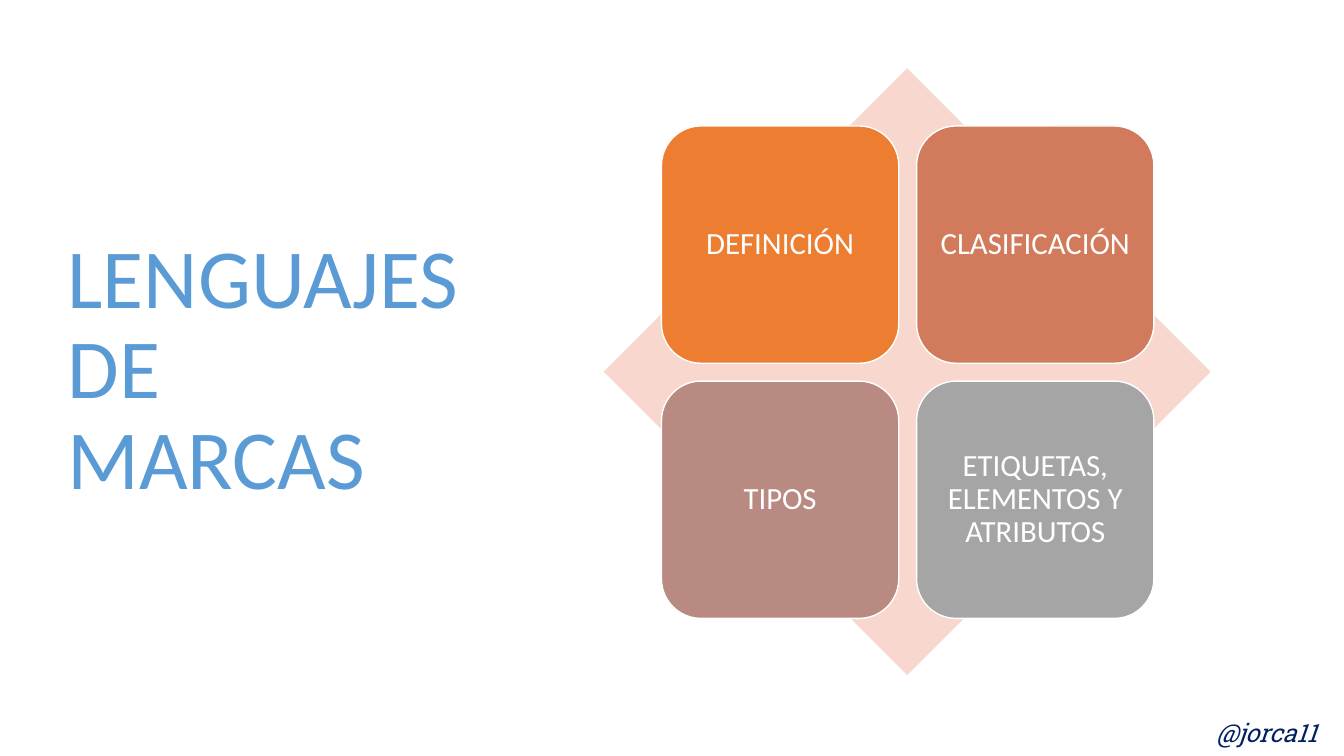
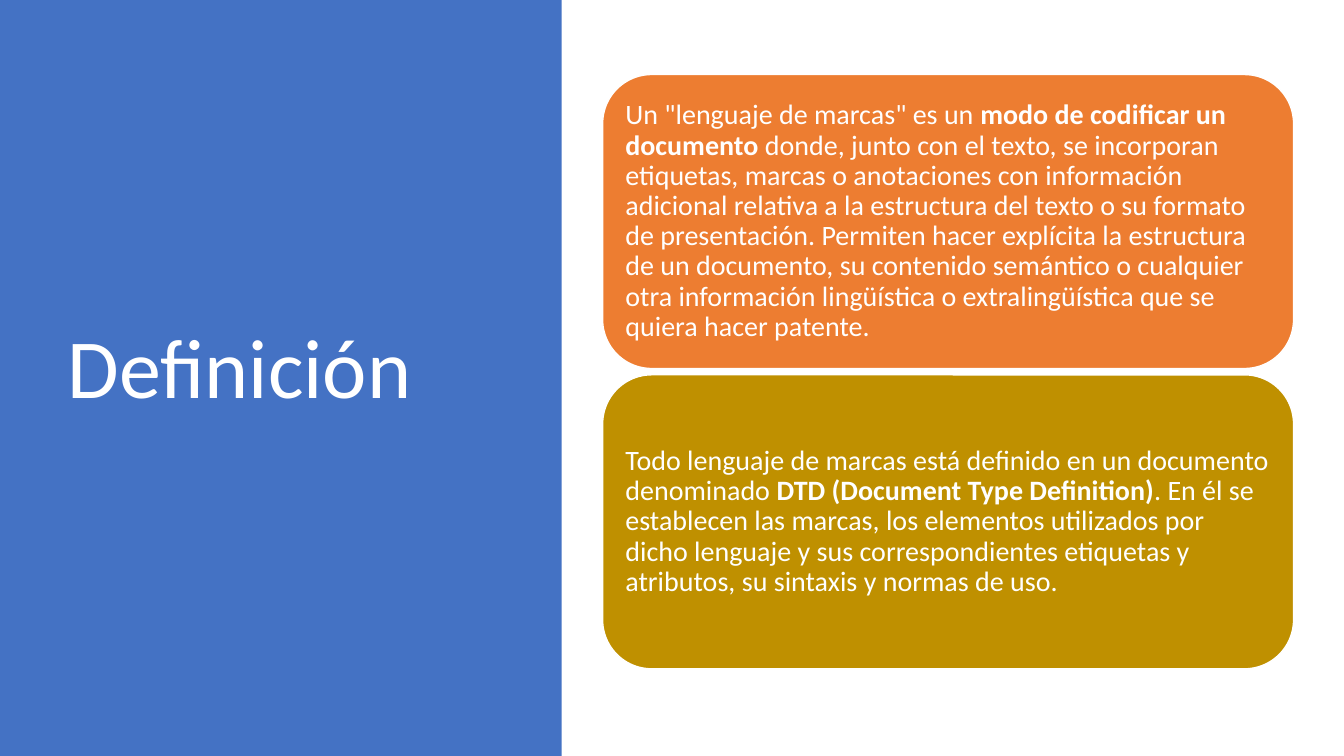
from pptx import Presentation
from pptx.dml.color import RGBColor
from pptx.enum.shapes import MSO_SHAPE
from pptx.enum.text import MSO_ANCHOR, PP_ALIGN
from pptx.util import Pt

PX = 9525  # EMU per pixel, 96 px to the inch
SLIDE_W, SLIDE_H = 1280, 720
TITLE_BOX = (55, 65, 399, 578)

WHITE = RGBColor(0xFF, 0xFF, 0xFF)
SKY = RGBColor(0x5B, 0x9B, 0xD5)
BLUE = RGBColor(0x44, 0x72, 0xC4)
NAVY = RGBColor(0x00, 0x20, 0x60)
PEACH = RGBColor(0xF8, 0xD7, 0xCE)
ORANGE = RGBColor(0xED, 0x7D, 0x31)
TERRACOTTA = RGBColor(0xD1, 0x7B, 0x5C)
MAUVE = RGBColor(0xB9, 0x8A, 0x82)
GRAY = RGBColor(0xA5, 0xA5, 0xA5)
GOLD = RGBColor(0xBF, 0x90, 0x00)

RECT, ROUNDED, DIAMOND = MSO_SHAPE.RECTANGLE, MSO_SHAPE.ROUNDED_RECTANGLE, MSO_SHAPE.DIAMOND
LEFT, CENTER = PP_ALIGN.LEFT, PP_ALIGN.CENTER
TOP, MIDDLE = MSO_ANCHOR.TOP, MSO_ANCHOR.MIDDLE


def add_panel(slide, kind, box, fill, line=None):
    """Add a flat filled shape; box is left, top, width, height in px."""
    panel = slide.shapes.add_shape(kind, *(v * PX for v in box))
    panel.shadow.inherit = False
    panel.fill.solid()
    panel.fill.fore_color.rgb = fill
    if line is None:
        panel.line.fill.background()
    else:
        panel.line.color.rgb = line
        panel.line.width = Pt(1)
    return panel


def write(holder, *runs, size, color=WHITE, font="Calibri", italic=False,
          align=LEFT, anchor=MIDDLE, spacing=0.9, inset=None):
    """Fill a shape with one paragraph; every second run is bold."""
    frame = holder.text_frame
    frame.word_wrap = True
    frame.vertical_anchor = anchor
    if inset is not None:
        frame.margin_left = frame.margin_right = inset * PX
        frame.margin_top = frame.margin_bottom = inset * PX
    paragraph = frame.paragraphs[0]
    paragraph.alignment = align
    paragraph.line_spacing = spacing
    for index, text in enumerate(runs):
        run = paragraph.add_run()
        run.text = text
        run.font.name = font
        run.font.size = Pt(size)
        run.font.color.rgb = color
        run.font.bold = index % 2 == 1
        run.font.italic = italic


prs = Presentation()
prs.slide_width, prs.slide_height = SLIDE_W * PX, SLIDE_H * PX
blank = prs.slide_layouts[6]

# Slide 1: topics
topics = prs.slides.add_slide(blank)
title = topics.shapes.add_textbox(*(v * PX for v in TITLE_BOX))
write(title, "LENGUAJES DE MARCAS", size=60, color=SKY)

add_panel(topics, DIAMOND, (575, 65, 578, 578), PEACH)
TILE, TILE_PITCH = 226, 243
TILES = [
    ("DEFINICIÓN", ORANGE),
    ("CLASIFICACIÓN", TERRACOTTA),
    ("TIPOS", MAUVE),
    ("ETIQUETAS, ELEMENTOS Y ATRIBUTOS", GRAY),
]
for index, (topic, fill) in enumerate(TILES):
    row, column = divmod(index, 2)
    box = (630 + column * TILE_PITCH, 120 + row * TILE_PITCH, TILE, TILE)
    tile = add_panel(topics, ROUNDED, box, fill, line=WHITE)
    write(tile, topic, size=22, align=CENTER, inset=9)

author = topics.shapes.add_textbox(*(v * PX for v in (1149, 678, 131, 38)))
write(author, "@jorca11", size=18, color=NAVY, font="Roboto Slab",
      italic=True, anchor=TOP, spacing=1.0)

# Slide 2: definition
definition = prs.slides.add_slide(blank)
add_panel(definition, RECT, (0, 0, 535, SLIDE_H), BLUE)
title = definition.shapes.add_textbox(*(v * PX for v in TITLE_BOX))
write(title, "Definición", size=60)

CARD_H, CARD_GAP = 280, 6
CARDS = [
    (ORANGE, (
        "Un \"lenguaje de marcas\" es un ",
        "modo de codificar un documento",
        " donde, junto con el texto, se incorporan etiquetas, marcas o "
        "anotaciones con información adicional relativa a la estructura del "
        "texto o su formato de presentación. Permiten hacer explícita la "
        "estructura de un documento, su contenido semántico o cualquier otra "
        "información lingüística o extralingüística que se quiera hacer patente.",
    )),
    (GOLD, (
        "Todo lenguaje de marcas está definido en un documento denominado ",
        "DTD (Document Type Definition)",
        ". En él se establecen las marcas, los elementos utilizados por dicho "
        "lenguaje y sus correspondientes etiquetas y atributos, su sintaxis y "
        "normas de uso.",
    )),
]
for index, (fill, runs) in enumerate(CARDS):
    box = (574, 71 + index * (CARD_H + CARD_GAP), 658, CARD_H)
    card = add_panel(definition, ROUNDED, box, fill, line=WHITE)
    write(card, *runs, size=20, inset=8)

prs.save("out.pptx")
